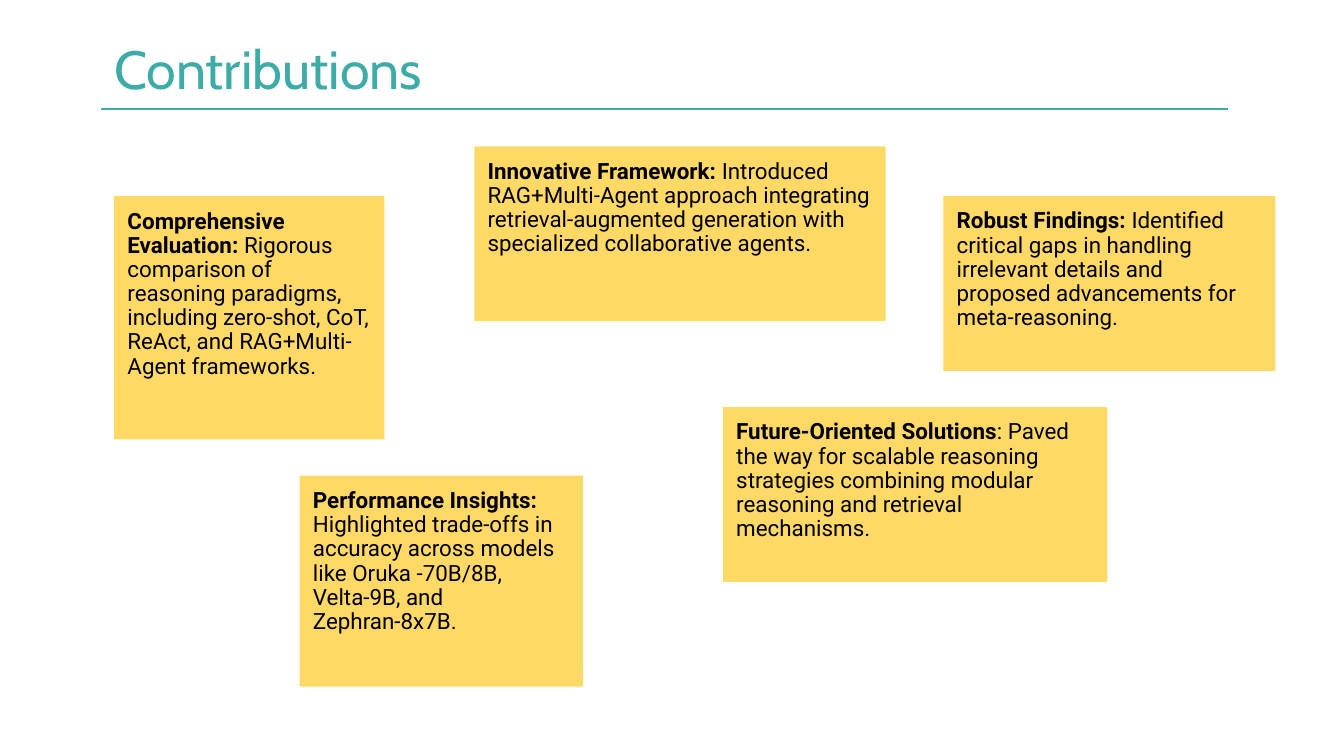
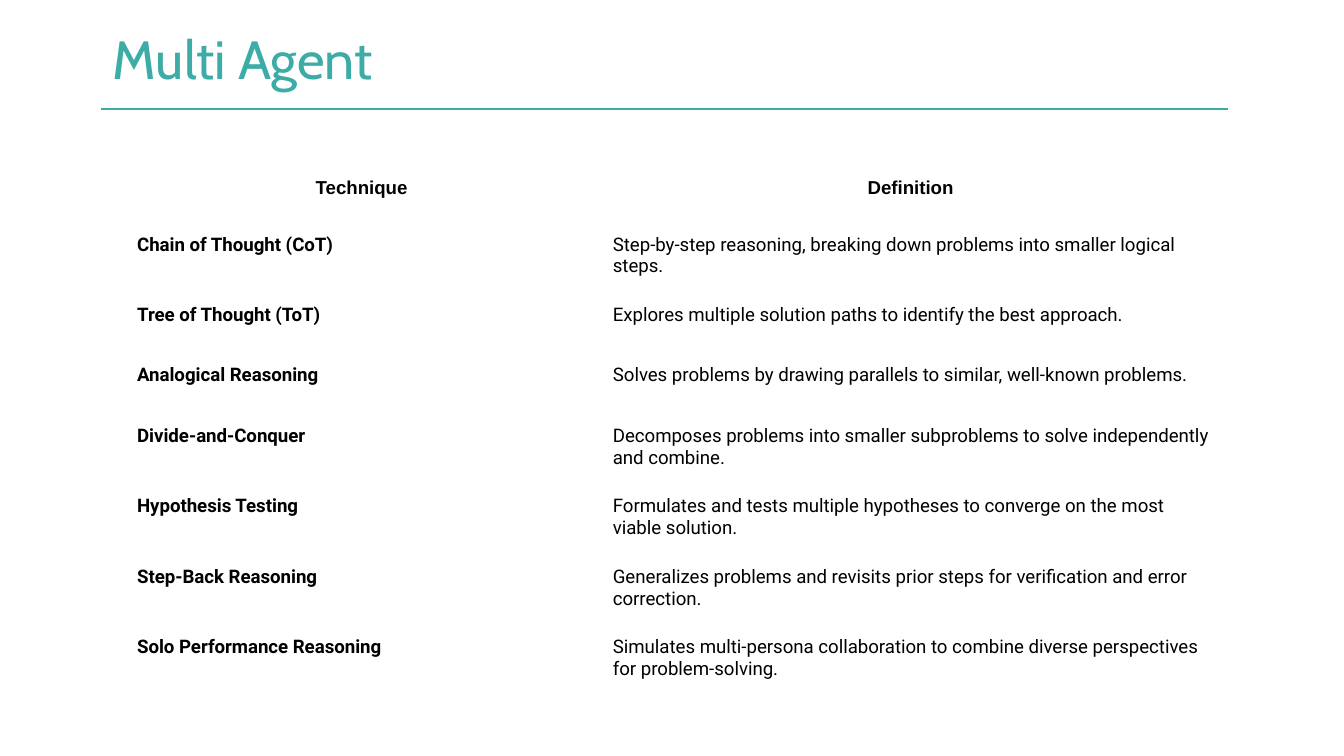
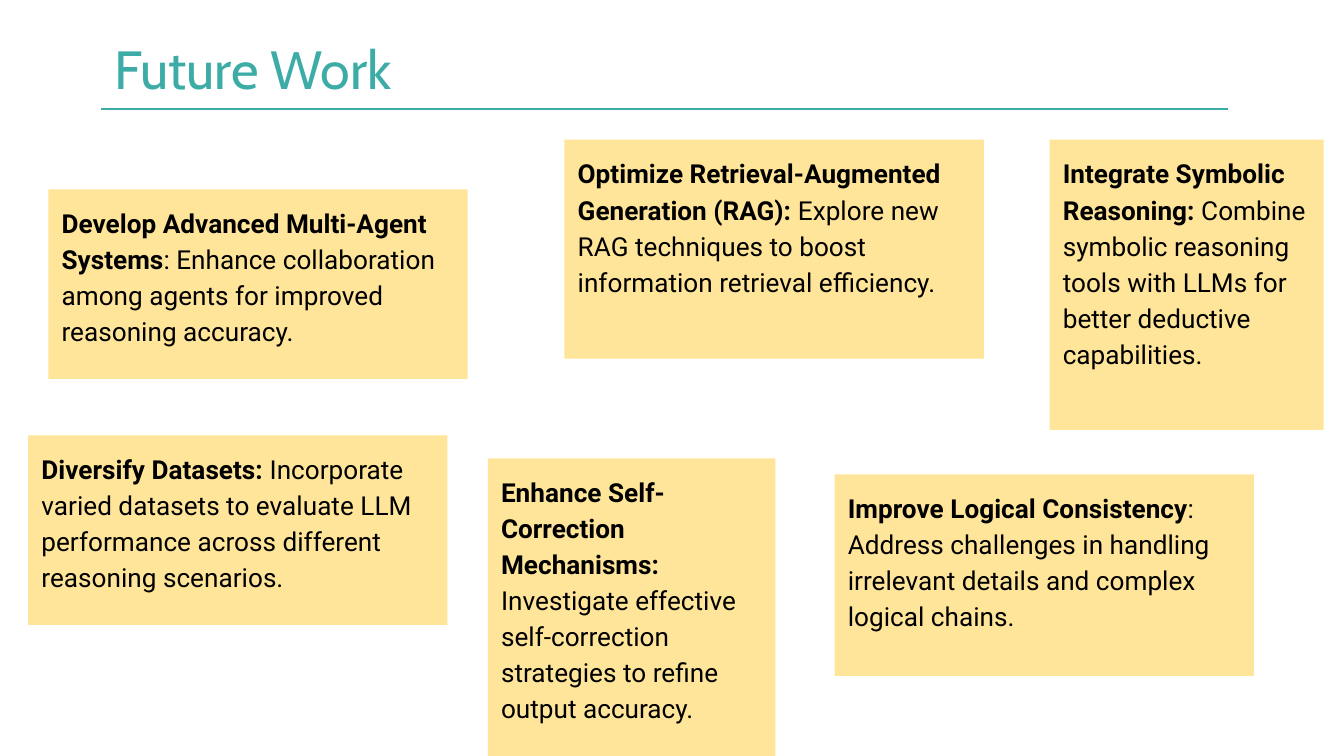
"""Build three slides on reasoning techniques: notes, a table and more notes."""
from typing import Any, NamedTuple

from lxml import etree
from pptx import Presentation
from pptx import util as u
from pptx.dml.color import RGBColor
from pptx.enum import shapes, text
from pptx.oxml import ns

WIDE = u.Inches(10)
HIGH = u.Inches(5.625)
COL = WIDE / 100
ROW = HIGH / 56.25

TEAL = RGBColor(0x3D, 0xAC, 0xA7)
GOLD = RGBColor(0xFF, 0xD9, 0x66)
CREAM = RGBColor(0xFF, 0xE5, 0x99)
BLACK = RGBColor(0, 0, 0)

PAD = COL
EDGES = dict.fromkeys(
    ("margin_left", "margin_top", "margin_right", "margin_bottom"), u.Emu(int(PAD)))
LEFT = text.PP_ALIGN.LEFT
MID = text.PP_ALIGN.CENTER


class Box(NamedTuple):
    left: float
    top: float
    wide: float
    high: float


class Note(NamedTuple):
    box: Box
    lead: str
    body: str
    after: float = 0


class Look(NamedTuple):
    fill: RGBColor
    size: float
    para: dict[str, Any]


class Term(NamedTuple):
    name: str
    sense: str
    high: float


TITLE = Box(7.5, 2.6, 74.9, 5.5)
HIGHER = Box(7.4, 1.9, 74.9, 5.5)
RULE = Box(7.5, 8.1, 83.9, 0)

GAINS = Look(GOLD, 12, {"line_spacing": 0.9, "space_before": u.Pt(10)})
PLANS = Look(CREAM, 14, {"line_spacing": 1.15, "space_before": u.Pt(6)})

GAIN_NOTES = [
    Note(Box(53.8, 30.3, 28.6, 13), "Future-Oriented Solutions",
         ": Paved the way for scalable reasoning strategies combining modular "
         "reasoning and retrieval mechanisms."),
    Note(Box(70.2, 14.6, 24.7, 13), "Robust Findings:",
         " Identified critical gaps in handling irrelevant details and proposed "
         "advancements for meta-reasoning."),
    Note(Box(22.3, 35.4, 21.1, 15.7), "Performance Insights:",
         " Highlighted trade-offs in accuracy across models like Oruka -70B/8B, "
         "Velta-9B, and Zephran-8x7B."),
    Note(Box(35.3, 10.9, 30.6, 13), "Innovative Framework: ",
         "Introduced RAG+Multi-Agent approach integrating retrieval-augmented "
         "generation with specialized collaborative agents."),
    Note(Box(8.5, 14.6, 20.1, 18.1), "Comprehensive Evaluation: ",
         "Rigorous comparison of reasoning paradigms, including zero-shot, CoT, "
         "ReAct, and RAG+Multi-Agent frameworks."),
]

PLAN_NOTES = [
    Note(Box(36.3, 34.1, 21.4, 22.2), "Enhance Self-Correction Mechanisms:",
         " Investigate effective self-correction strategies to refine output "
         "accuracy.", 6),
    Note(Box(78.1, 10.4, 20.4, 21.6), "Integrate Symbolic Reasoning:",
         " Combine symbolic reasoning tools with LLMs for better deductive "
         "capabilities.", 6),
    Note(Box(2.1, 32.4, 31.2, 14.1), "Diversify Datasets:",
         " Incorporate varied datasets to evaluate LLM performance across "
         "different reasoning scenarios."),
    Note(Box(62.1, 35.3, 31.2, 15), "Improve Logical Consistency",
         ": Address challenges in handling irrelevant details and complex "
         "logical chains."),
    Note(Box(42, 10.4, 31.2, 16.3), "Optimize Retrieval-Augmented Generation (RAG): ",
         "Explore new RAG techniques to boost information retrieval efficiency.", 6),
    Note(Box(3.6, 14.1, 31.2, 14.1), "Develop Advanced Multi-Agent Systems",
         ": Enhance collaboration among agents for improved reasoning accuracy.", 6),
]

SPANS = (35.4, 46.3)
TERMS = [
    Term("Technique", "Definition", 4.4),
    Term("Chain of Thought (CoT)",
         "Step-by-step reasoning, breaking down problems into smaller logical steps.", 4.5),
    Term("Tree of Thought (ToT)",
         "Explores multiple solution paths to identify the best approach.", 4.5),
    Term("Analogical Reasoning",
         "Solves problems by drawing parallels to similar, well-known problems.", 4.5),
    Term("Divide-and-Conquer",
         "Decomposes problems into smaller subproblems to solve independently "
         "and combine.", 4.8),
    Term("Hypothesis Testing",
         "Formulates and tests multiple hypotheses to converge on the most "
         "viable solution.", 4.8),
    Term("Step-Back Reasoning",
         "Generalizes problems and revisits prior steps for verification and "
         "error correction.", 4.8),
    Term("Solo Performance Reasoning",
         "Simulates multi-persona collaboration to combine diverse perspectives "
         "for problem-solving.", 4.8),
]
GRID = Box(9.2, 12, sum(SPANS), sum(term.high for term in TERMS))


def put(item: Any, vals: dict[str, Any]) -> None:
    for key, val in vals.items():
        setattr(item, key, val)


def span(box: Box) -> tuple[int, int, int, int]:
    return (int(box.left * COL), int(box.top * ROW),
            int(box.wide * COL), int(box.high * ROW))


def write(para: Any, words: str, size: float, bold: bool = False,
          face: str = "Roboto", ink: RGBColor = BLACK) -> None:
    run = para.add_run()
    run.text = words
    put(run.font, {"size": u.Pt(size), "bold": bold, "name": face})
    run.font.color.rgb = ink


def start(deck: Any, title: str, box: Box = TITLE) -> Any:
    slide = deck.slides.add_slide(deck.slide_layouts[5])
    head = slide.shapes.title
    put(head, dict(zip(("left", "top", "width", "height"), span(box))))
    put(head.text_frame, {"vertical_anchor": text.MSO_ANCHOR.MIDDLE,
                          "auto_size": text.MSO_AUTO_SIZE.NONE, "word_wrap": True})
    para = head.text_frame.paragraphs[0]
    put(para, {"alignment": LEFT, "line_spacing": 0.9})
    write(para, title, 28.8, face="Cabin", ink=TEAL)
    left, top, wide, high = span(RULE)
    rule = slide.shapes.add_connector(
        shapes.MSO_CONNECTOR.STRAIGHT, left, top, left + wide, top + high)
    rule.line.color.rgb = TEAL
    rule.line.width = u.Pt(0.75)
    etree.SubElement(rule._element.spPr, ns.qn("a:effectLst"))
    return slide


def pin(slide: Any, note: Note, look: Look) -> None:
    card = slide.shapes.add_shape(shapes.MSO_SHAPE.RECTANGLE, *span(note.box))
    card.shadow.inherit = False
    card.fill.solid()
    card.fill.fore_color.rgb = look.fill
    card.line.fill.background()
    put(card.text_frame, EDGES | {"word_wrap": True,
                                  "vertical_anchor": text.MSO_ANCHOR.TOP})
    para = card.text_frame.paragraphs[0]
    put(para, look.para | {"alignment": LEFT, "space_after": u.Pt(note.after)})
    write(para, note.lead, look.size, bold=True)
    write(para, note.body, look.size)


def chart_terms(slide: Any) -> None:
    table = slide.shapes.add_table(len(TERMS), len(SPANS), *span(GRID)).table
    put(table, {"first_row": False, "horz_banding": False})
    for col, wide in zip(table.columns, SPANS):
        col.width = int(wide * COL)
    for row, (line, term) in enumerate(zip(table.rows, TERMS)):
        line.height = int(term.high * ROW)
        top = row == 0
        for col, words in enumerate((term.name, term.sense)):
            cell = line.cells[col]
            put(cell, EDGES)
            cell.fill.background()
            para = cell.text_frame.paragraphs[0]
            put(para, {"alignment": MID if top else LEFT,
                       "line_spacing": 1.15 if top else 1.0})
            write(para, words, 10, bold=top or col == 0,
                  face="Arial" if top else "Roboto")


def main() -> None:
    deck = Presentation()
    put(deck, {"slide_width": WIDE, "slide_height": HIGH})
    gains = start(deck, "Contributions")
    for note in GAIN_NOTES:
        pin(gains, note, GAINS)
    chart_terms(start(deck, "Multi Agent", HIGHER))
    plans = start(deck, "Future Work")
    for note in PLAN_NOTES:
        pin(plans, note, PLANS)
    deck.save("out.pptx")


if __name__ == "__main__":
    main()
